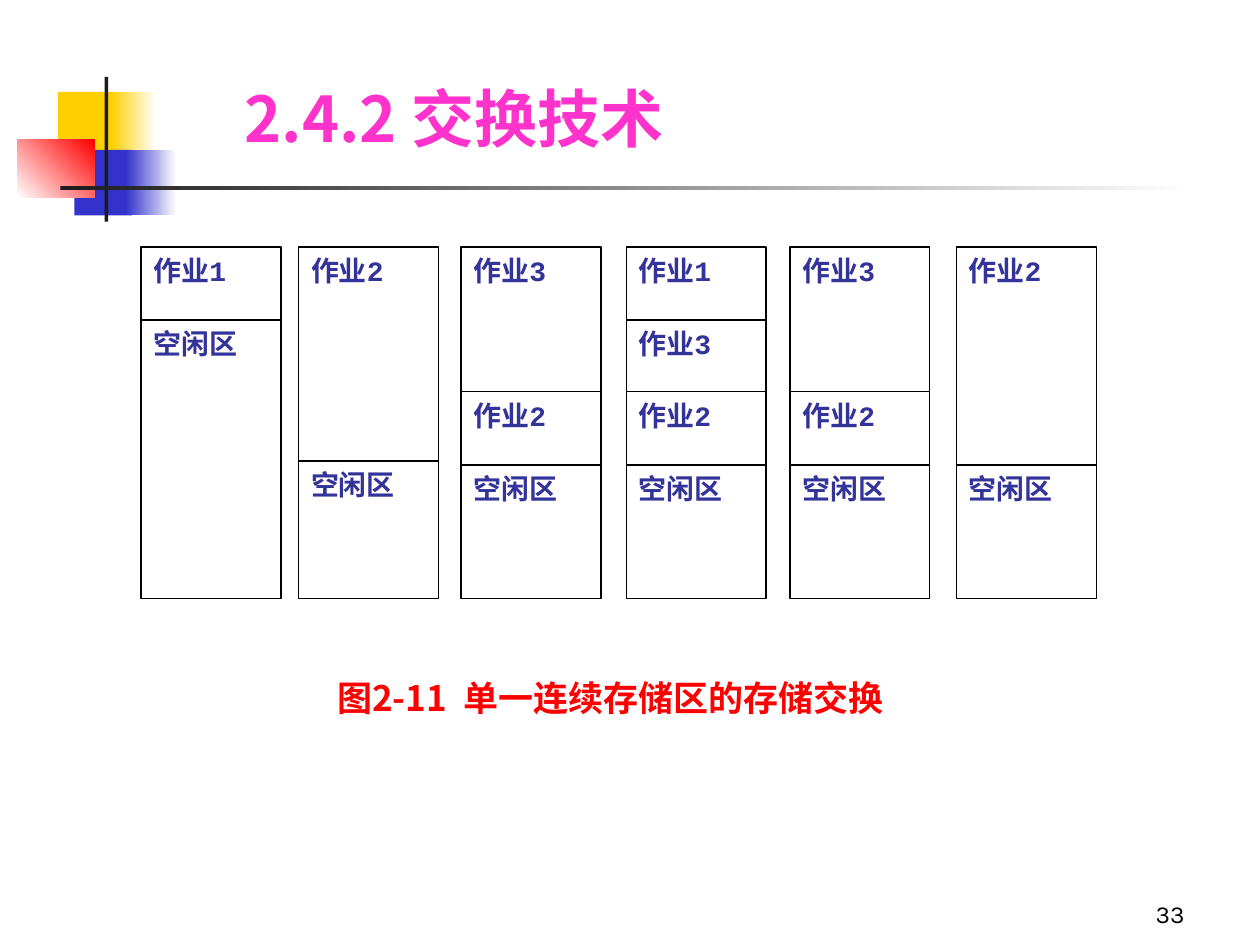
import pptx
import pptx.util
import pptx.dml.color
import pptx.enum.shapes
import pptx.enum.text
import pptx.oxml.ns
import lxml.etree

Inches = pptx.util.Inches
Pt = pptx.util.Pt
RGB = pptx.dml.color.RGBColor.from_string
ALIGN = pptx.enum.text.PP_ALIGN
ANCHOR = pptx.enum.text.MSO_ANCHOR

TITLE = "2.4.2 交换技术"
CAPTION = "图2-11  单一连续存储区的存储交换"
PAGE = "33"
FREE = "空闲区"

TOP, BOTTOM, COLUMN_WIDTH = 1.96, 4.75, 1.11
COLUMNS = [
    (1.12, [("作业1", 2.54), (FREE, BOTTOM)]),
    (2.37, [("作业2", 3.66), (FREE, BOTTOM)]),
    (3.66, [("作业3", 3.11), ("作业2", 3.69), (FREE, BOTTOM)]),
    (4.97, [("作业1", 2.54), ("作业3", 3.11), ("作业2", 3.69), (FREE, BOTTOM)]),
    (6.27, [("作业3", 3.11), ("作业2", 3.69), (FREE, BOTTOM)]),
    (7.59, [("作业2", 3.69), (FREE, BOTTOM)]),
]

THEME = {
    "yellow": "FFCF01", "blue": "3333CC", "red": "FF0000",
    "dark": "1C1C1C", "white": "FFFFFF", "black": "000000",
    "east_asian": "Noto Sans CJK SC",
    "title": {"size": 36, "name": "Noto Sans CJK SC", "color": "FF33CC", "bold": True},
    "job": {"size": 16, "name": "Courier New", "color": "333399", "bold": True},
    "caption": {"size": 20, "name": "Noto Sans CJK SC", "color": "FF0000", "bold": True},
    "page": {"size": 14, "name": "Karla", "color": "000000", "bold": False},
}

ORNAMENTS = [
    ((0.46, 0.73, 0.48, 0.52), ("yellow",), 0),
    ((0.88, 0.73, 0.36, 0.52), ("yellow", "white"), 0),
    ((0.59, 1.19, 0.46, 0.52), ("blue",), 0),
    ((1, 1.19, 0.4, 0.52), ("blue", "white"), 0),
    ((0.14, 1.11, 0.61, 0.46), ("white", "red"), 45),
    ((0.83, 0.61, 0.03, 1.15), ("dark",), 0),
    ((0.48, 1.48, 9, 0.03), ("dark", "white"), 0),
]


def add_rect(s, box, colors, angle=0):
    sp = s.shapes.add_shape(pptx.enum.shapes.MSO_SHAPE.RECTANGLE, *map(Inches, box))
    sp.shadow.inherit = False
    sp.line.fill.background()
    if len(colors) == 1:
        sp.fill.solid()
        sp.fill.fore_color.rgb = RGB(THEME[colors[0]])
    else:
        sp.fill.gradient()
        sp.fill.gradient_angle = angle
        for stop, color in zip(sp.fill.gradient_stops, colors):
            stop.color.rgb = RGB(THEME[color])
    return sp


def write(sp, text, style, align=ALIGN.LEFT, anchor=ANCHOR.TOP):
    tf = sp.text_frame
    frame = {"word_wrap": True, "auto_size": pptx.enum.text.MSO_AUTO_SIZE.NONE,
             "vertical_anchor": anchor, "margin_left": Inches(0.1),
             "margin_right": Inches(0.1), "margin_top": Inches(0.05),
             "margin_bottom": Inches(0.05)}
    for key, value in frame.items():
        setattr(tf, key, value)
    p = tf.paragraphs[0]
    p.alignment = align
    r = p.add_run()
    r.text = text
    look = THEME[style]
    for key, value in {"size": Pt(look["size"]), "name": look["name"], "bold": look["bold"]}.items():
        setattr(r.font, key, value)
    r.font.color.rgb = RGB(look["color"])
    ea = lxml.etree.SubElement(r.font._element, pptx.oxml.ns.qn("a:ea"))
    ea.set("typeface", THEME["east_asian"])


def main():
    prs = pptx.Presentation()
    prs.slide_width, prs.slide_height = Inches(10), Inches(7.5)
    s = prs.slides.add_slide(prs.slide_layouts[5])

    for box, colors, angle in ORNAMENTS:
        add_rect(s, box, colors, angle)

    title = s.shapes.title
    place = {"left": 1.84, "top": 0.62, "width": 7.14, "height": 0.66}
    for key, value in place.items():
        setattr(title, key, Inches(value))
    write(title, TITLE, "title", anchor=ANCHOR.BOTTOM)

    for left, blocks in COLUMNS:
        top = TOP
        for text, bottom in blocks:
            sp = add_rect(s, (left, top, COLUMN_WIDTH, bottom - top), ("white",))
            sp.line.color.rgb = RGB(THEME["black"])
            sp.line.width = Pt(0.75)
            write(sp, text, "job")
            top = bottom

    caption = s.shapes.add_textbox(*map(Inches, (2.3, 5.32, 5.09, 0.58)))
    write(caption, CAPTION, "caption", ALIGN.CENTER)
    page = s.shapes.add_textbox(*map(Inches, (7.42, 6.92, 2.08, 0.5)))
    write(page, PAGE, "page", ALIGN.RIGHT, ANCHOR.BOTTOM)

    prs.save("out.pptx")


if __name__ == "__main__":
    main()
